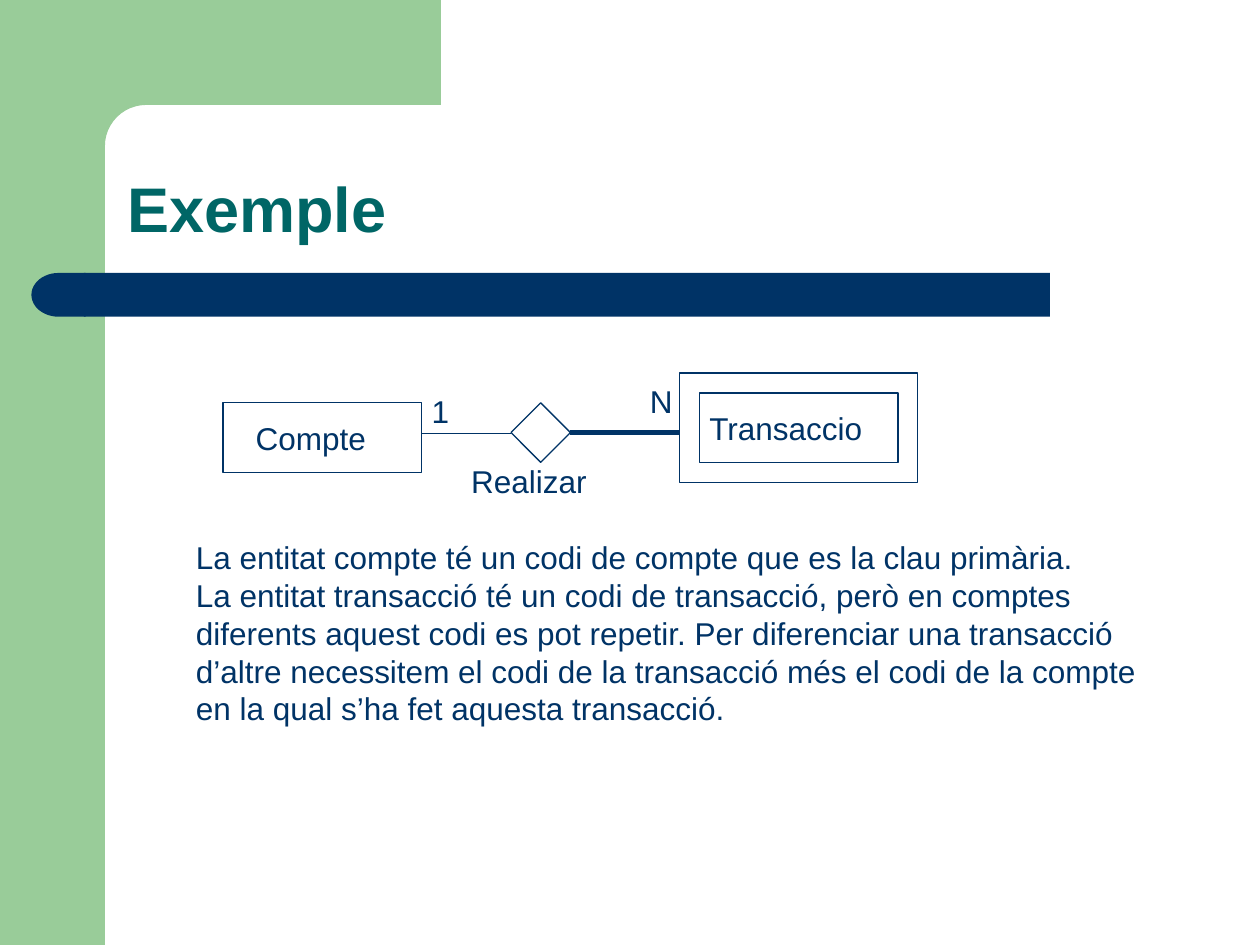
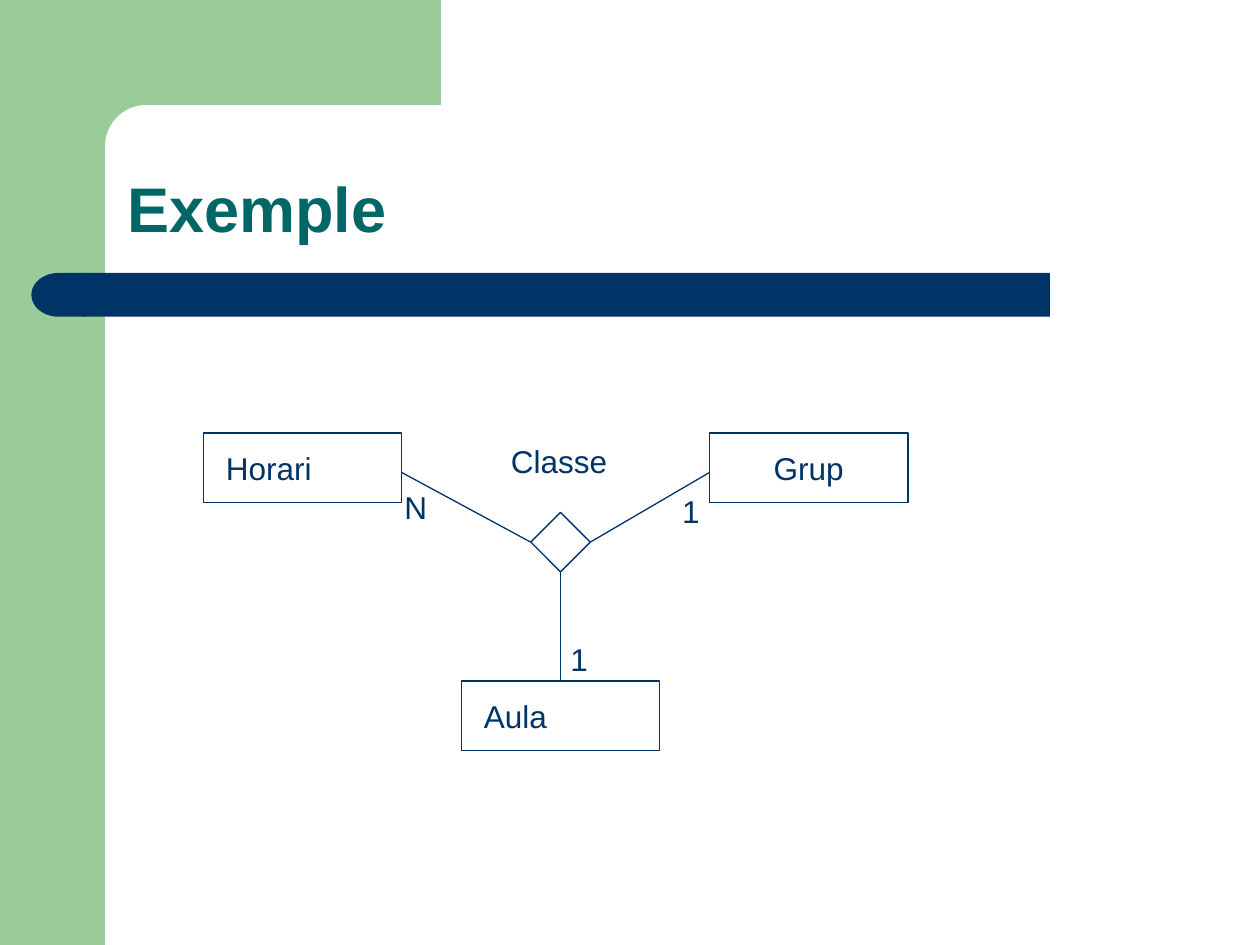
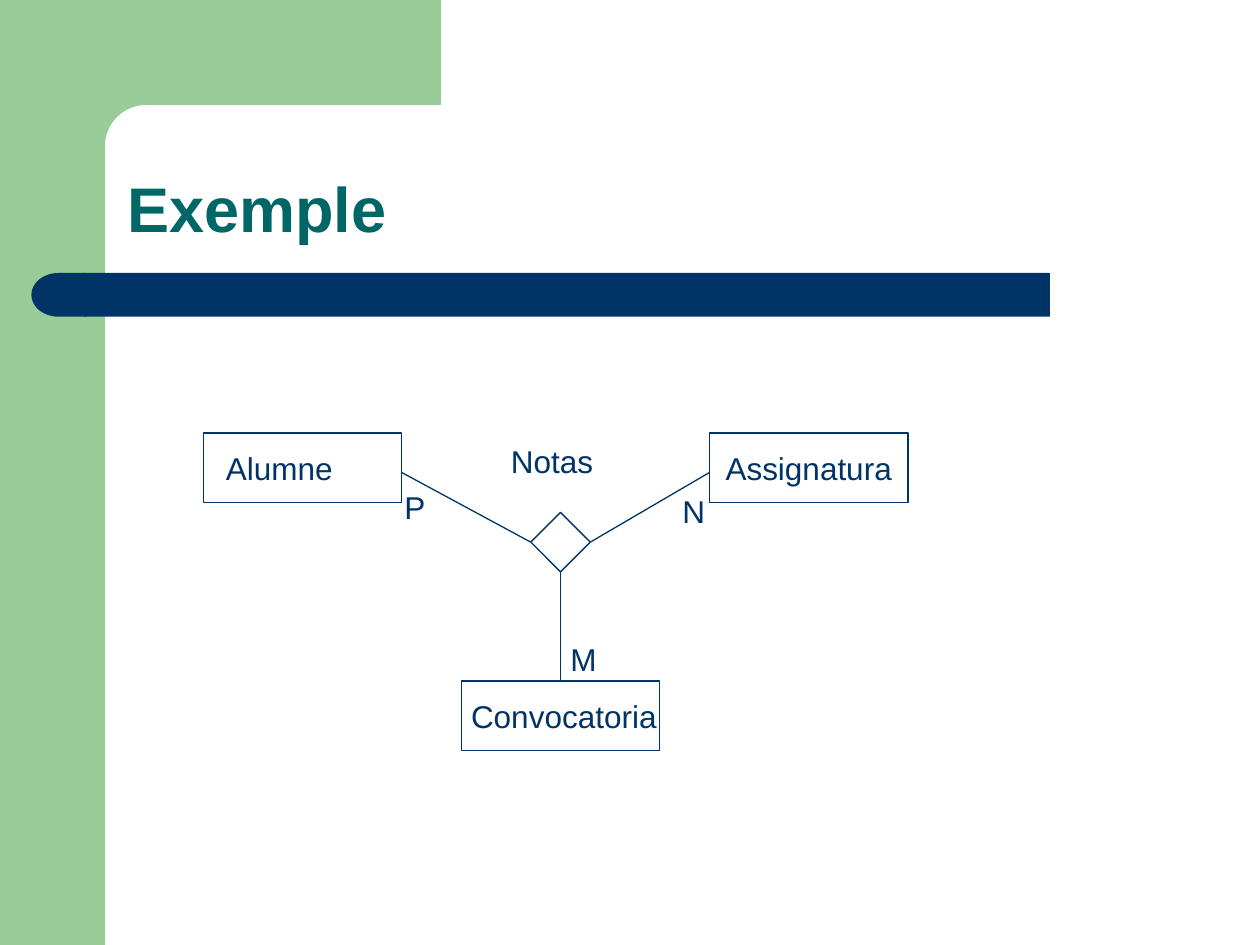
from math import cos, pi, sin

from lxml.etree import SubElement
from pptx import Presentation
from pptx.dml.color import RGBColor
from pptx.enum.shapes import MSO_CONNECTOR, MSO_SHAPE
from pptx.enum.text import MSO_ANCHOR, MSO_AUTO_SIZE, PP_ALIGN
from pptx.oxml.ns import qn
from pptx.util import Pt

GREEN, NAVY, TEAL = "99CC99", "003366", "006666"
FONT = "Arial"
BOX_W, BOX_H, DIAMOND, LABEL_H = 113.4, 39.7, 34, 28.8
THIN = 0.74
rgb = RGBColor.from_string


def add_shape(s, kind, x, y, w, h, fill=None, line=None):
    sp = s.shapes.add_shape(kind, Pt(x), Pt(y), Pt(w), Pt(h))
    sp.shadow.inherit = False
    if fill:
        sp.fill.solid()
        sp.fill.fore_color.rgb = rgb(fill)
    else:
        sp.fill.background()
    if line:
        sp.line.color.rgb = rgb(line)
        sp.line.width = Pt(THIN)
    else:
        sp.line.fill.background()
    return sp


def write(sp, text, size=18, color=NAVY, bold=False, align=PP_ALIGN.LEFT,
          anchor=MSO_ANCHOR.TOP, wrap=False, grow=True, spacing=1.0):
    tf = sp.text_frame
    tf.word_wrap = wrap
    tf.auto_size = MSO_AUTO_SIZE.SHAPE_TO_FIT_TEXT if grow else MSO_AUTO_SIZE.NONE
    tf.vertical_anchor = anchor
    tf.text = text
    for p in tf.paragraphs:
        p.alignment = align
        p.line_spacing = spacing
        for r in p.runs:
            r.font.name = FONT
            r.font.size = Pt(size)
            r.font.bold = bold
            r.font.color.rgb = rgb(color)


prs = Presentation()
prs.slide_width, prs.slide_height = Pt(720), Pt(540)

edge, radius = 60, 23.5
center = edge + radius
arc = [(center - radius * sin(i * pi / 24), center - radius * cos(i * pi / 24))
       for i in range(13)]
corner = [(252, 0), (252, edge), *arc, (edge, 92), (36, 92), (36, 0)]

slides = []
for _ in range(3):
    s = prs.slides.add_slide(prs.slide_layouts[6])
    slides.append(s)
    add_shape(s, MSO_SHAPE.RECTANGLE, 0, 0, edge, 540, fill=GREEN)
    points = [(Pt(x), Pt(y)) for x, y in corner]
    fb = s.shapes.build_freeform(*points[0])
    fb.add_line_segments(points[1:], close=True)
    sp = fb.convert_to_shape()
    sp.shadow.inherit = False
    sp.fill.solid()
    sp.fill.fore_color.rgb = rgb(GREEN)
    sp.line.fill.background()
    bar = add_shape(s, MSO_SHAPE.ROUNDED_RECTANGLE, 48, 156, 552, 25, fill=NAVY)
    bar.adjustments[0] = 0
    cap = add_shape(s, MSO_SHAPE.FLOWCHART_DELAY, 18, 156, 31, 25, fill=NAVY)
    cap.element.spPr.find(qn("a:xfrm")).set("flipH", "1")
    title = s.shapes.add_textbox(Pt(65.7), Pt(65.6), Pt(612.7), Pt(78.5))
    write(title, "Exemple", size=36, color=TEAL, bold=True,
          anchor=MSO_ANCHOR.BOTTOM, wrap=True, grow=False, spacing=0.9)

weak = slides[0]
body = weak.shapes.add_textbox(Pt(104.8), Pt(304), Pt(558), Pt(115.2))
write(body, "\n".join([
    "La entitat compte té un codi de compte que es la clau primària.",
    "La entitat transacció té un codi de transacció, però en comptes",
    "diferents aquest codi es pot repetir. Per diferenciar una transacció",
    "d’altre necessitem el codi de la transacció més el codi de la compte",
    "en la qual s’ha fet aquesta transacció.",
]), align=PP_ALIGN.JUSTIFY)
add_shape(weak, MSO_SHAPE.DIAMOND, 292, 230.2, DIAMOND, DIAMOND, line=NAVY)
for x, y, w, h in [(399.7, 224.5, BOX_W, BOX_H), (127.4, 230.2, BOX_W, BOX_H),
                   (388.2, 213.2, 136, 62.4)]:
    add_shape(weak, MSO_SHAPE.RECTANGLE, x, y, w, h, line=NAVY)

labels = [
    (weak, "Compte", 139, 235.8, 78.5),
    (weak, "Transaccio", 398.2, 230.1, 103.5),
    (weak, "Realizar", 262.1, 260.3, 81.5),
    (weak, "1", 239.6, 220.3, 25.5),
    (weak, "N", 364.3, 214.6, 28.5),
]
lines = [
    (weak, 240.9, 247.3, 292, 247.3, 0.26),
    (weak, 326, 247.3, 388.2, 247.3, 3),
]

left, right, top = 116.2, 405.4, 247.5
mid, hub, bottom = 320.3, 309.8, 389.2
side = top + 22.5
half = DIAMOND / 2
ternary = [
    ("Grup", [("Classe", 284.9, 249.1, 71), ("Horari", 122, 253, 65),
              ("Aula", 269.5, 394.6, 52), ("1", 382.8, 277.4, 25.5),
              ("1", 318.9, 362.2, 25.5), ("N", 224, 275.3, 28.5)]),
    ("Assignatura", [("Notas", 284.9, 249.1, 63), ("Alumne", 122, 253, 77),
                     ("Convocatoria", 262.1, 394.6, 122), ("N", 382.8, 277.4, 28.5),
                     ("M", 318.9, 362.2, 30.5), ("P", 224, 275.3, 27.5)]),
]
for s, (entity, names) in zip(slides[1:], ternary):
    sp = add_shape(s, MSO_SHAPE.RECTANGLE, right, top, BOX_W, BOX_H, line=NAVY)
    write(sp, entity, align=PP_ALIGN.CENTER, anchor=MSO_ANCHOR.MIDDLE, grow=False)
    for x, y in [(mid - BOX_W / 2, bottom), (left, top)]:
        add_shape(s, MSO_SHAPE.RECTANGLE, x, y, BOX_W, BOX_H, line=NAVY)
    add_shape(s, MSO_SHAPE.DIAMOND, mid - half, hub - half, DIAMOND, DIAMOND, line=NAVY)
    lines += [
        (s, left + BOX_W, side, mid - half, hub, THIN),
        (s, mid + half, hub, right, side, THIN),
        (s, mid, hub + half, mid, bottom, THIN),
    ]
    labels += [(s, *name) for name in names]

for s, x1, y1, x2, y2, width in lines:
    ln = s.shapes.add_connector(MSO_CONNECTOR.STRAIGHT, Pt(x1), Pt(y1), Pt(x2), Pt(y2))
    ln.line.color.rgb = rgb(NAVY)
    ln.line.width = Pt(width)
    SubElement(ln.element.spPr, qn("a:effectLst"))

for s, text, x, y, w in labels:
    write(s.shapes.add_textbox(Pt(x), Pt(y), Pt(w), Pt(LABEL_H)), text)

prs.save("out.pptx")
